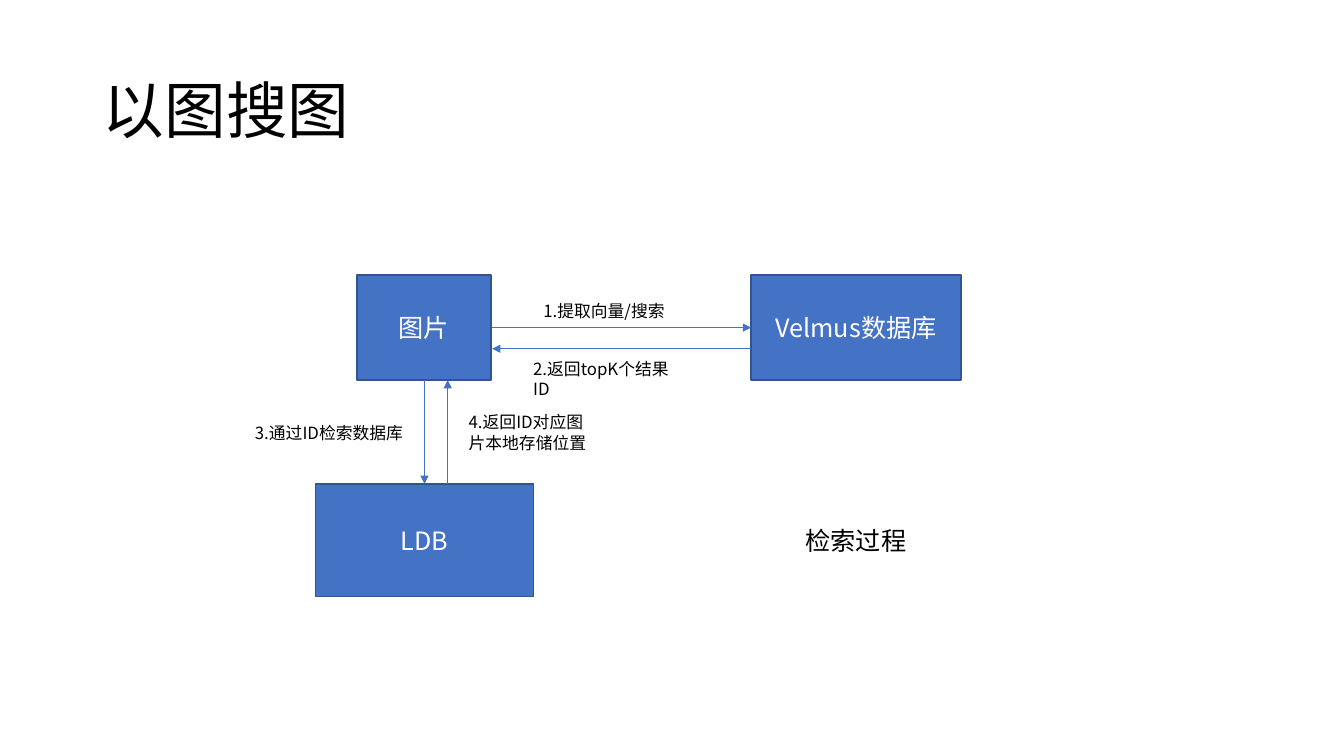
"""Builds the image search flow slide."""
from lxml import etree
from pptx import Presentation
from pptx import util as u
from pptx.dml import color
from pptx.enum import shapes, text
from pptx.oxml import ns

FONT = "Noto Sans CJK SC"
BLACK, WHITE, BLUE, NAVY = "000000", "FFFFFF", "4472C4", "325491"

NODES = [
    ("图片", 3.54, 2.73, 1.33, 1.04),
    ("Velmus数据库", 7.45, 2.73, 2.08, 1.04),
    ("LDB", 3.13, 4.8, 2.16, 1.12),
]
ARROWS = [
    (4.88, 3.25, 7.45, 3.25),
    (7.45, 3.46, 4.88, 3.46),
    (4.21, 3.77, 4.21, 4.8),
    (4.44, 4.8, 4.44, 3.77),
]
LABELS = [
    ("1.提取向量/搜索", 5.29, 2.93, 1.44, 0.3, 12),
    ("2.返回topK个结果ID", 5.19, 3.51, 1.67, 0.3, 12),
    ("3.通过ID检索数据库", 2.43, 4.14, 1.78, 0.3, 12),
    ("4.返回ID对应图片本地存储位置", 4.55, 4.04, 1.4, 0.5, 12),
    ("检索过程", 7.89, 5.16, 1.21, 0.4, 18),
]


def rgb(value):
    """Turn a hex string into a colour."""
    return color.RGBColor.from_string(value)


def inches(*values):
    """Turn numbers into lengths."""
    return [u.Inches(value) for value in values]


def apply(target, formats):
    """Set attributes from a dict of format values."""
    for name, value in formats.items():
        setattr(target, name, value)


def write(shape, words, size, ink, frame_format, para_format):
    """Put one formatted paragraph into a shape."""
    frame = shape.text_frame
    apply(frame, {"word_wrap": True, **frame_format})
    para = frame.paragraphs[0]
    apply(para, para_format)
    span = para.add_run()
    span.text = words
    apply(span.font, {"name": FONT, "size": u.Pt(size)})
    span.font.color.rgb = rgb(ink)
    east_asian = etree.SubElement(span.font._element, ns.qn("a:ea"))
    east_asian.set("typeface", FONT)


def add_title(page, words):
    """Place and fill the title placeholder."""
    title = page.shapes.title
    left, top, width, height = inches(0.92, 0.4, 11.5, 1.45)
    apply(title, {"left": left, "top": top, "width": width, "height": height})
    write(title, words, 44, BLACK,
          {"vertical_anchor": text.MSO_ANCHOR.MIDDLE,
           "auto_size": text.MSO_AUTO_SIZE.NONE},
          {"alignment": text.PP_ALIGN.LEFT, "line_spacing": 0.9})


def add_node(page, words, *place):
    """Draw a blue box with a centred name."""
    box = page.shapes.add_shape(shapes.MSO_SHAPE.RECTANGLE, *inches(*place))
    box.shadow.inherit = False
    box.fill.solid()
    box.fill.fore_color.rgb = rgb(BLUE)
    box.line.color.rgb = rgb(NAVY)
    box.line.width = u.Pt(1)
    write(box, words, 18, WHITE,
          {"vertical_anchor": text.MSO_ANCHOR.MIDDLE},
          {"alignment": text.PP_ALIGN.CENTER})


def add_arrow(page, *ends):
    """Draw a thin line with an arrowhead at its end."""
    arrow = page.shapes.add_connector(
        shapes.MSO_CONNECTOR.STRAIGHT, *inches(*ends))
    arrow.line.color.rgb = rgb(BLUE)
    arrow.line.width = u.Pt(0.5)
    head = etree.SubElement(arrow.line._get_or_add_ln(), ns.qn("a:tailEnd"))
    head.set("type", "triangle")
    etree.SubElement(arrow._element.spPr, ns.qn("a:effectLst"))


def add_label(page, words, left, top, width, height, size):
    """Add a plain text label."""
    box = page.shapes.add_textbox(*inches(left, top, width, height))
    write(box, words, size, BLACK,
          {"auto_size": text.MSO_AUTO_SIZE.SHAPE_TO_FIT_TEXT}, {})


def main():
    """Build and save the slide."""
    deck = Presentation()
    apply(deck, {"slide_width": u.Inches(13.33), "slide_height": u.Inches(7.5)})
    page = deck.slides.add_slide(deck.slide_layouts[5])
    add_title(page, "以图搜图")
    for node in NODES:
        add_node(page, *node)
    for arrow in ARROWS:
        add_arrow(page, *arrow)
    for label in LABELS:
        add_label(page, *label)
    deck.save("out.pptx")


if __name__ == "__main__":
    main()
